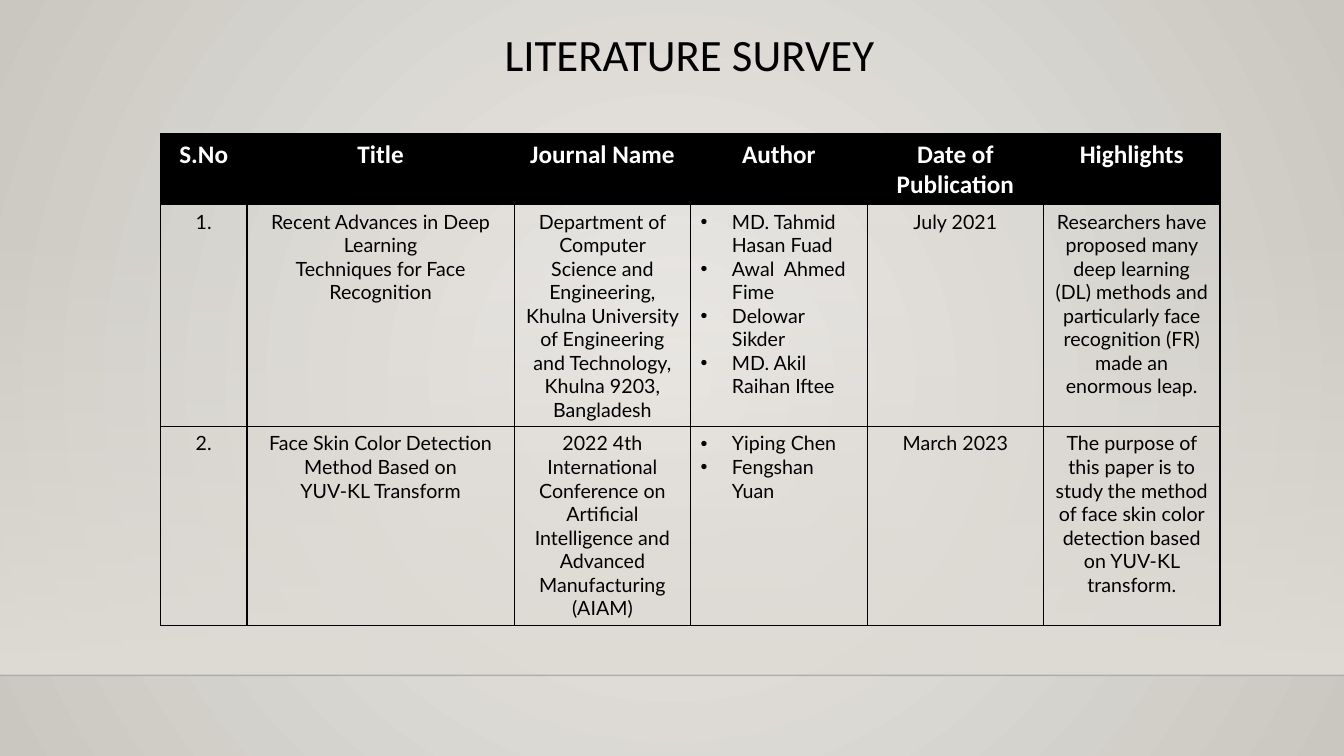
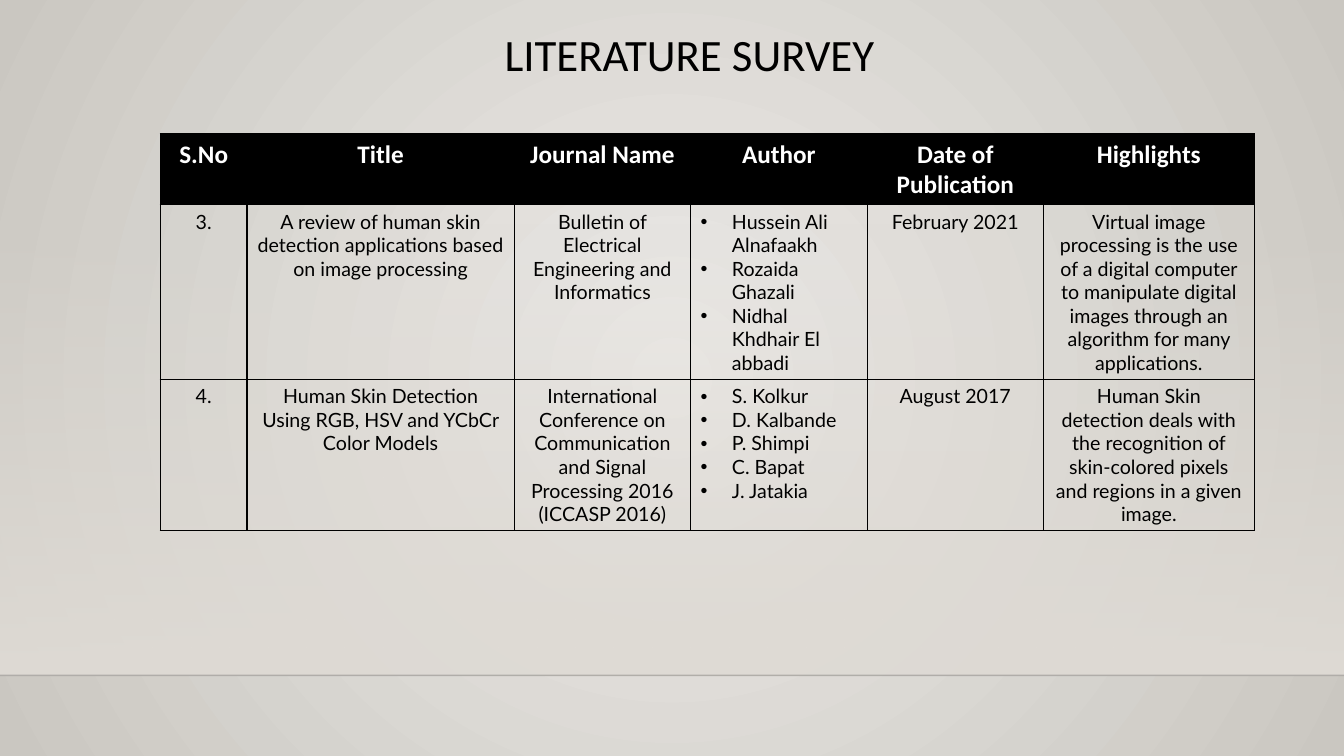
import pptx
import pptx.dml.color
import pptx.enum.dml
import pptx.enum.shapes
import pptx.enum.text
import pptx.oxml
import pptx.oxml.ns
import pptx.oxml.xmlchemy
import pptx.util
from lxml import etree

Inches = pptx.util.Inches
Pt = pptx.util.Pt
RGBColor = pptx.dml.color.RGBColor
PP_ALIGN = pptx.enum.text.PP_ALIGN
qn = pptx.oxml.ns.qn

BLACK = RGBColor(0x00, 0x00, 0x00)
WHITE = RGBColor(0xFF, 0xFF, 0xFF)
GLOW = RGBColor(0xEC, 0xEA, 0xE7)
EDGE = RGBColor(0xCA, 0xC7, 0xC1)
WALL = RGBColor(0xDF, 0xDB, 0xD5)
HORIZON = RGBColor(0x00, 0x00, 0x01)

SLIDE_WIDTH = 13.33
HORIZON_TOP = 6.7
WALL_TOP = 2.21
CONTENT_LEFT = 1.59
CONTENT_WIDTH = 10.5
TABLE_TOP = 1.33
HEADER_HEIGHT = 0.7
BULLET_INDENT = 0.31
COLUMN_WIDTHS = [0.86, 2.65, 1.75, 1.75, 1.75]
AUTHOR_COLUMN = 3

HEADINGS = ["S.No", "Title", "Journal Name", "Author", "Date of Publication", "Highlights"]

SURVEYS = [
    {
        "highlights_width": 1.75,
        "row_heights": [2.2, 1.97],
        "papers": [
            [
                ["1."],
                ["Recent Advances in Deep Learning", "Techniques for Face Recognition"],
                ["Department of Computer Science and Engineering, Khulna University "
                 "of Engineering and Technology, Khulna 9203, Bangladesh"],
                ["MD. Tahmid Hasan Fuad", "Awal  Ahmed Fime", "Delowar Sikder", "MD. Akil Raihan Iftee"],
                ["July 2021"],
                ["Researchers have proposed many deep learning (DL) methods and "
                 "particularly face recognition (FR) made an enormous leap."],
            ],
            [
                ["2."],
                ["Face Skin Color Detection Method Based on", "YUV-KL Transform"],
                ["2022 4th International Conference on Artificial Intelligence "
                 "and Advanced Manufacturing (AIAM)"],
                ["Yiping Chen", "Fengshan Yuan"],
                ["March 2023"],
                ["The purpose of this paper is to study the method of face skin color "
                 "detection based on YUV-KL transform."],
            ],
        ],
    },
    {
        "highlights_width": 2.09,
        "row_heights": [1.73, 1.5],
        "papers": [
            [
                ["3."],
                ["A review of human skin detection applications based on image processing"],
                ["Bulletin of Electrical Engineering and Informatics"],
                ["Hussein Ali Alnafaakh", "Rozaida Ghazali", "Nidhal Khdhair El abbadi"],
                ["February 2021"],
                ["Virtual image processing is the use of a digital computer to manipulate "
                 "digital images through an algorithm for many applications."],
            ],
            [
                ["4."],
                ["Human Skin Detection Using RGB, HSV and YCbCr Color Models"],
                ["International Conference on Communication and Signal Processing 2016 (ICCASP 2016)"],
                ["S. Kolkur", "D. Kalbande", "P. Shimpi", "C. Bapat", "J. Jatakia"],
                ["August 2017"],
                ["Human Skin detection deals with the recognition of skin-colored pixels "
                 "and regions in a given image."],
            ],
        ],
    },
]


def set_gradient(fill, start, end):
    fill.gradient()
    for stop, color, position in zip(fill.gradient_stops, (start, end), (0, 1)):
        stop.color.rgb = color
        stop.position = position


def set_alpha(color_element, percent):
    etree.SubElement(color_element, qn("a:alpha")).set("val", str(percent * 1000))


def set_background(master):
    set_gradient(master.background.fill, GLOW, EDGE)
    gradient = master.element.xpath("./p:cSld/p:bg//a:gradFill")[0]
    gradient.remove(gradient.find(qn("a:lin")))
    circle = etree.SubElement(gradient, qn("a:path"))
    circle.set("path", "circle")
    center = etree.SubElement(circle, qn("a:fillToRect"))
    for side in "ltrb":
        center.set(side, "50000")


def add_wall(slide):
    wall = slide.shapes.add_shape(
        pptx.enum.shapes.MSO_SHAPE.RECTANGLE,
        0, Inches(WALL_TOP), Inches(SLIDE_WIDTH), Inches(HORIZON_TOP - WALL_TOP))
    wall.shadow.inherit = False
    wall.line.fill.background()
    set_gradient(wall.fill, WALL, WALL)
    wall.fill.gradient_angle = 270
    set_alpha(wall.element.xpath(".//a:gs/a:srgbClr")[0], 0)


def add_horizon(slide):
    horizon = slide.shapes.add_connector(
        pptx.enum.shapes.MSO_CONNECTOR.STRAIGHT,
        0, Inches(HORIZON_TOP), Inches(SLIDE_WIDTH), Inches(HORIZON_TOP))
    horizon.line.width = Pt(1)
    horizon.line.color.rgb = HORIZON
    set_alpha(horizon.element.xpath(".//a:ln//a:srgbClr")[0], 20)
    etree.SubElement(horizon.element.spPr, qn("a:effectLst"))


def add_bullet(paragraph):
    properties = paragraph._p.get_or_add_pPr()
    properties.set("marL", str(Inches(BULLET_INDENT)))
    properties.set("indent", str(-Inches(BULLET_INDENT)))
    etree.SubElement(properties, qn("a:buFont")).set("typeface", "Arial")
    etree.SubElement(properties, qn("a:buChar")).set("char", "•")


def write_text(frame, lines, *, size, font, color=BLACK, bold=False,
               bulleted=False, line_spacing=None):
    for index, line in enumerate(lines):
        paragraph = frame.add_paragraph() if index else frame.paragraphs[0]
        paragraph.alignment = PP_ALIGN.LEFT if bulleted else PP_ALIGN.CENTER
        if line_spacing:
            paragraph.line_spacing = line_spacing
        if bulleted:
            add_bullet(paragraph)
        run = paragraph.add_run()
        run.text = line
        run.font.size = Pt(size)
        run.font.name = font
        run.font.bold = bold
        run.font.color.rgb = color


def add_title(slide, title):
    frame = slide.shapes.add_textbox(
        Inches(CONTENT_LEFT), Inches(0.28), Inches(CONTENT_WIDTH), Inches(1.15)).text_frame
    frame.word_wrap = True
    frame.vertical_anchor = pptx.enum.text.MSO_ANCHOR.TOP
    write_text(frame, [title], size=32, font="Calibri", line_spacing=0.9)


def set_borders(cell):
    properties = cell._tc.get_or_add_tcPr()
    for index, side in enumerate(("a:lnL", "a:lnR", "a:lnT", "a:lnB")):
        border = etree.Element(qn(side))
        border.set("w", str(Pt(1)))
        solid = etree.SubElement(border, qn("a:solidFill"))
        etree.SubElement(solid, qn("a:srgbClr")).set("val", str(BLACK))
        properties.insert(index, border)


def add_survey_table(slide, papers, row_heights, highlights_width):
    widths = COLUMN_WIDTHS + [highlights_width]
    heights = [HEADER_HEIGHT] + row_heights
    table = slide.shapes.add_table(
        len(heights), len(widths), Inches(CONTENT_LEFT), Inches(TABLE_TOP),
        Inches(sum(widths)), Inches(sum(heights))).table
    table.horz_banding = False
    for column, width in zip(table.columns, widths):
        column.width = Inches(width)
    for row, height in zip(table.rows, heights):
        row.height = Inches(height)
    for column, heading in enumerate(HEADINGS):
        cell = table.cell(0, column)
        cell.fill.solid()
        cell.fill.fore_color.rgb = BLACK
        set_borders(cell)
        write_text(cell.text_frame, [heading], size=18, font="Calibri", color=WHITE, bold=True)
    for row, paper in enumerate(papers, start=1):
        for column, lines in enumerate(paper):
            cell = table.cell(row, column)
            cell.fill.background()
            set_borders(cell)
            write_text(cell.text_frame, lines, size=14, font="Lato",
                       bulleted=column == AUTHOR_COLUMN)


def main():
    presentation = pptx.Presentation()
    presentation.slide_width = Inches(SLIDE_WIDTH)
    presentation.slide_height = Inches(7.5)
    set_background(presentation.slide_master)
    for survey in SURVEYS:
        slide = presentation.slides.add_slide(presentation.slide_layouts[6])
        add_wall(slide)
        add_horizon(slide)
        add_title(slide, "LITERATURE SURVEY")
        add_survey_table(slide, **survey)
    presentation.save("out.pptx")


if __name__ == "__main__":
    main()
